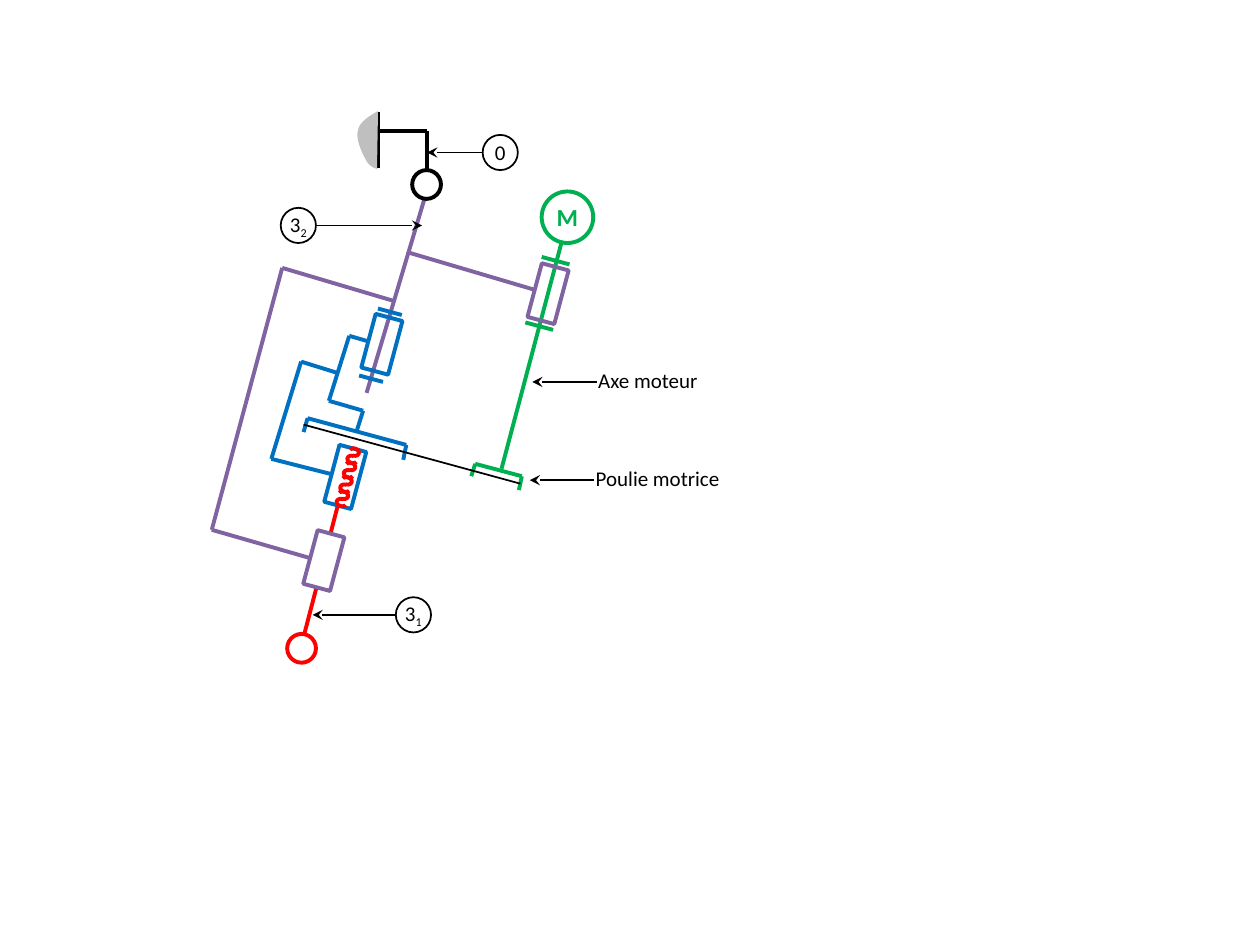
from lxml import etree
from pptx import Presentation, util as u
from pptx.dml.color import RGBColor
from pptx.enum import shapes, text
from pptx.oxml.ns import qn

BLACK, WHITE, GREY = "000000", "FFFFFF", "BFBFBF"
GREEN, RED, VIOLET, BLUE = "00B050", "FF0000", "8064A2", "0070C0"
THICK, THIN = 2.25, 1
TILT = 15


def rgb(color):
    return RGBColor.from_string(color)


class Region:
    """Draws on a slide, in centimetres from the corner (x, y)."""

    def __init__(self, slide, x, y, color=BLACK):
        self.shapes, self.x, self.y, self.color = slide.shapes, x, y, color

    def at(self, x, y):
        return u.Cm(self.x + x), u.Cm(self.y + y)

    def chain(self, *points, width=THICK, arrow=False):
        for a, b in zip(points, points[1:]):
            line = self.shapes.add_connector(
                shapes.MSO_CONNECTOR.STRAIGHT, *self.at(*a), *self.at(*b))
            line.line.color.rgb = rgb(self.color)
            line.line.width = u.Pt(width)
            sp_pr = line._element.spPr
            etree.SubElement(sp_pr, qn("a:effectLst"))
            if arrow:
                ln = sp_pr.find(qn("a:ln"))
                etree.SubElement(ln, qn("a:tailEnd"), type="stealth")

    def shape(self, kind, x, y, w, h, rotation=0, fill=None, width=THICK):
        sp = self.shapes.add_shape(kind, *self.at(x, y), u.Cm(w), u.Cm(h))
        sp.shadow.inherit = False
        sp.rotation = rotation
        if fill:
            sp.fill.solid()
            sp.fill.fore_color.rgb = rgb(fill)
        else:
            sp.fill.background()
        sp.line.color.rgb = rgb(self.color)
        sp.line.width = u.Pt(width)
        return sp

    def sleeve(self, x, y, h=1.12, fill=None):
        self.shape(shapes.MSO_SHAPE.RECTANGLE, x, y, 0.56, h, TILT, fill)

    def circle(self, x, y, d, fill=WHITE, width=THICK):
        return self.shape(shapes.MSO_SHAPE.OVAL, x, y, d, d, 0, fill, width)


def write(sp, words, color=BLACK, size=12, bold=False, subscript=""):
    p = sp.text_frame.paragraphs[0]
    p.add_run().text = words
    if subscript:
        r = p.add_run()
        r.text = subscript
        r.font._element.set("baseline", "-25000")
    p.font.name = "Calibri"
    p.font.size = u.Pt(size)
    p.font.bold = bold
    p.font.color.rgb = rgb(color)
    return p


def write_centred(sp, words, **style):
    tf = sp.text_frame
    tf.margin_left = tf.margin_right = tf.margin_top = tf.margin_bottom = 0
    tf.vertical_anchor = text.MSO_ANCHOR.MIDDLE
    write(sp, words, **style).alignment = text.PP_ALIGN.CENTER


def motor(slide, x, y):
    box = Region(slide, x, y, GREEN)
    box.chain((0.61, 5.59), (1.83, 0.99))
    box.chain((1.42, 1.32), (1.98, 1.47))
    box.chain((1.09, 2.64), (1.65, 2.79))
    box.chain((0, 5.74), (0.08, 5.49), (1.02, 5.74), (0.96, 6.02))
    write_centred(box.circle(1.42, 0, 1.04, fill=None), "M",
                  color=GREEN, size=14, bold=True)


def screw_rod(slide, x, y):
    box = Region(slide, x, y, RED)
    box.chain((0.28, 4.01), (1.02, 1.17))
    box.circle(0, 3.76, 0.58)


def screw_thread(slide, x, y):
    box = Region(slide, x, y, RED)
    for i in range(8):
        arc = box.shape(shapes.MSO_SHAPE.ARC, 1.02 + 0.036 * i,
                        1.01 - 0.145 * i, 0.15, 0.2, 105 if i % 2 else 285)
        arc.adjustments[0], arc.adjustments[1] = 63.43, 1.83


def frame(slide, x, y):
    box = Region(slide, x, y, VIOLET)
    box.chain((1.98, 7.69), (0, 7.12), (1.42, 1.84), (3.68, 2.51))
    box.chain((3.93, 1.52), (6.5, 2.28))
    box.chain((4.42, 0), (3.12, 4.36))
    box.sleeve(1.98, 7.18, fill=WHITE)
    box.sleeve(6.5, 1.8)


def nut(slide, x, y):
    box = Region(slide, x, y, BLUE)
    box.chain((0.66, 2.49), (0.74, 2.21), (2.73, 2.75), (2.67, 3.05))
    box.chain((2.16, 0), (2.64, 0.13))
    box.chain((1.78, 1.35), (2.26, 1.48))
    box.chain((1.96, 0.66), (1.58, 0.55), (1.17, 1.86), (1.86, 2.06),
              (1.73, 2.47))
    box.chain((1.35, 1.3), (0.61, 1.07), (0.01, 3.03), (1.19, 3.33))
    box.sleeve(1.96, 0.16)
    box.sleeve(1.22, 2.8, h=1.19)


def bezier(p0, p1, p2, p3, steps=10):
    for i in range(1, steps + 1):
        t = i / steps
        yield tuple((1 - t) ** 3 * a + 3 * t * (1 - t) ** 2 * b
                    + 3 * t * t * (1 - t) * c + t ** 3 * d
                    for a, b, c, d in zip(p0, p1, p2, p3))


def ground(slide, x, y):
    box = Region(slide, x, y)
    box.chain((0.3, 0.4), (1.42, 0.4), (1.42, 1.16))
    box.circle(1.12, 1.19, 0.58)
    box.chain((0.43, 0.02), (0.43, 1.14))
    curve = [(0.43, 0), (0.25, 0.1), (0.05, 0.23), (0.03, 0.38),
             (-0.03, 0.53), (0.1, 0.84), (0.18, 0.97),
             (0.23, 1.09), (0.33, 1.14), (0.41, 1.17)]
    outline = [box.at(*pt) for i in (0, 3, 6) for pt in bezier(*curve[i:i + 4])]
    builder = slide.shapes.build_freeform(*box.at(*curve[0]))
    builder.add_line_segments(outline, close=True)
    soil = builder.convert_to_shape()
    soil.shadow.inherit = False
    soil.fill.solid()
    soil.fill.fore_color.rgb = rgb(GREY)
    soil.line.fill.background()


def callout(slide, x, y, tip, number, subscript=""):
    """Numbered circle with an arrow ending tip cm from its left edge."""
    box, d = Region(slide, x, y), 0.71
    write_centred(box.circle(0, 0, d, width=THIN), number, subscript=subscript)
    box.chain((d if tip > 0 else 0, d / 2), (tip, d / 2), width=THIN, arrow=True)


def label(slide, x, y, w, words):
    box = Region(slide, x, y)
    box.chain((0.22, 0.41), (-1.08, 0.41), width=THIN, arrow=True)
    sp = slide.shapes.add_textbox(*box.at(0, 0), u.Cm(w), u.Cm(0.76))
    sp.text_frame.word_wrap = False
    sp.text_frame.auto_size = text.MSO_AUTO_SIZE.SHAPE_TO_FIT_TEXT
    write(sp, words)


def main():
    prs = Presentation()
    prs.slide_width, prs.slide_height = u.Cm(25.4), u.Cm(19.05)
    slide = prs.slides.add_slide(prs.slide_layouts[6])
    motor(slide, 9.5, 3.86)
    screw_rod(slide, 5.79, 9.02)
    frame(slide, 4.27, 3.56)
    nut(slide, 5.46, 6.22)
    screw_thread(slide, 5.79, 9.02)
    belt = Region(slide, 6.12, 8.56)
    belt.chain((0, 0), (4.37, 1.19), width=THIN)
    ground(slide, 7.19, 2.24)
    callout(slide, 5.66, 4.19, 2.85, "3", "2")
    callout(slide, 7.98, 12.04, -1.68, "3", "1")
    callout(slide, 9.73, 2.72, -1.12, "0")
    label(slide, 11.81, 7.29, 2.54, "Axe moteur")
    label(slide, 11.76, 9.27, 3.05, "Poulie motrice")
    prs.save("out.pptx")


if __name__ == "__main__":
    main()
